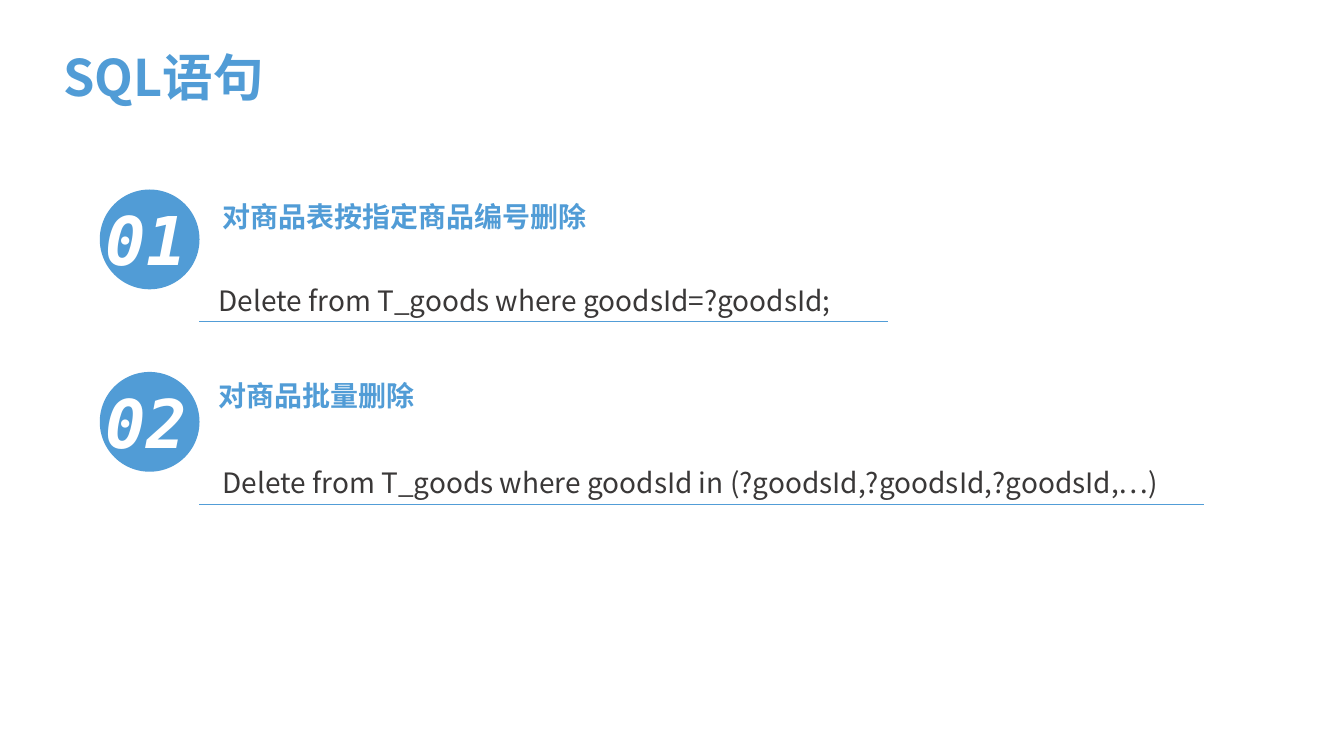
import dataclasses
import typing

import lxml.etree
import pptx
import pptx.dml.color
import pptx.enum.shapes
import pptx.enum.text
import pptx.oxml.ns
import pptx.util

EMU_PER_PX = 9144


@dataclasses.dataclass(frozen=True)
class Theme:
    blue: str = "519CD6"
    rule: str = "529DD7"
    white: str = "FFFFFF"
    ink: str = "3A3838"
    text_font: str = "Noto Sans CJK SC"
    number_font: str = "DejaVu Sans Mono"
    title_size: int = 36
    number_size: int = 48
    body_size: int = 20
    rule_width: float = 0.5


class Box(typing.NamedTuple):
    left: int
    top: int
    width: int
    height: int


@dataclasses.dataclass(frozen=True)
class SqlItem:
    number: str
    heading: str
    heading_box: Box
    statement: str
    statement_left: int
    statement_width: int
    rule_end: int


THEME = Theme()
FIRST_TOP = 188
ITEM_PITCH = 181
ITEMS = (
    SqlItem("01", "对商品表按指定商品编号删除", Box(211, 193, 511, 44),
            "Delete from T_goods where goodsId=?goodsId;", 207, 932, 881),
    SqlItem("02", "对商品批量删除", Box(207, 371, 275, 44),
            "Delete from T_goods where goodsId in (?goodsId,?goodsId,?goodsId,…)", 211, 1014, 1195),
)


def px(length: int) -> pptx.util.Emu:
    return pptx.util.Emu(length * EMU_PER_PX)


def rgb(color: str) -> pptx.dml.color.RGBColor:
    return pptx.dml.color.RGBColor.from_string(color)


def write_text(shape, text: str, *, size: int, color: str, font_name: str = THEME.text_font,
               bold: bool = False, italic: bool = False) -> None:
    frame = shape.text_frame
    frame.word_wrap = True
    frame.auto_size = pptx.enum.text.MSO_AUTO_SIZE.NONE
    frame.vertical_anchor = pptx.enum.text.MSO_ANCHOR.TOP
    paragraph = frame.paragraphs[0]
    paragraph.alignment = pptx.enum.text.PP_ALIGN.LEFT
    run = paragraph.add_run()
    run.text = text
    font = run.font
    font.size = pptx.util.Pt(size)
    font.bold = bold
    font.italic = italic
    font.color.rgb = rgb(color)
    font.name = font_name
    properties = run._r.get_or_add_rPr()
    lxml.etree.SubElement(properties, pptx.oxml.ns.qn("a:ea"), typeface=font_name)


def add_label(slide, box: Box, text: str, **text_format) -> None:
    shape = slide.shapes.add_textbox(*map(px, box))
    write_text(shape, text, **text_format)


def add_title(slide, text: str) -> None:
    title = slide.shapes.title
    title.left, title.top, title.width, title.height = map(px, Box(53, 41, 242, 70))
    write_text(title, text, size=THEME.title_size, color=THEME.blue, bold=True)


def add_circle(slide, box: Box) -> None:
    circle = slide.shapes.add_shape(pptx.enum.shapes.MSO_SHAPE.OVAL, *map(px, box))
    circle.shadow.inherit = False
    circle.fill.solid()
    circle.fill.fore_color.rgb = rgb(THEME.blue)
    circle.line.fill.background()


def add_rule(slide, start: int, end: int, top: int) -> None:
    rule = slide.shapes.add_connector(
        pptx.enum.shapes.MSO_CONNECTOR.STRAIGHT, px(start), px(top), px(end), px(top))
    rule.line.color.rgb = rgb(THEME.rule)
    rule.line.width = pptx.util.Pt(THEME.rule_width)
    lxml.etree.SubElement(rule._element.spPr, pptx.oxml.ns.qn("a:effectLst"))


def add_item(slide, item: SqlItem, top: int) -> None:
    add_circle(slide, Box(99, top, 99, 99))
    add_label(slide, Box(95, top + 4, 112, 90), item.number, size=THEME.number_size,
              color=THEME.white, font_name=THEME.number_font, bold=True, italic=True)
    add_rule(slide, 198, item.rule_end, top + 131)
    add_label(slide, item.heading_box, item.heading, size=THEME.body_size,
              color=THEME.blue, bold=True)
    add_label(slide, Box(item.statement_left, top + 88, item.statement_width, 44),
              item.statement, size=THEME.body_size, color=THEME.ink)


def main() -> None:
    presentation = pptx.Presentation()
    presentation.slide_width = px(1334)
    presentation.slide_height = px(750)
    slide = presentation.slides.add_slide(presentation.slide_layouts[5])
    add_title(slide, "SQL语句")
    for index, item in enumerate(ITEMS):
        add_item(slide, item, FIRST_TOP + index * ITEM_PITCH)
    presentation.save("out.pptx")


if __name__ == "__main__":
    main()
